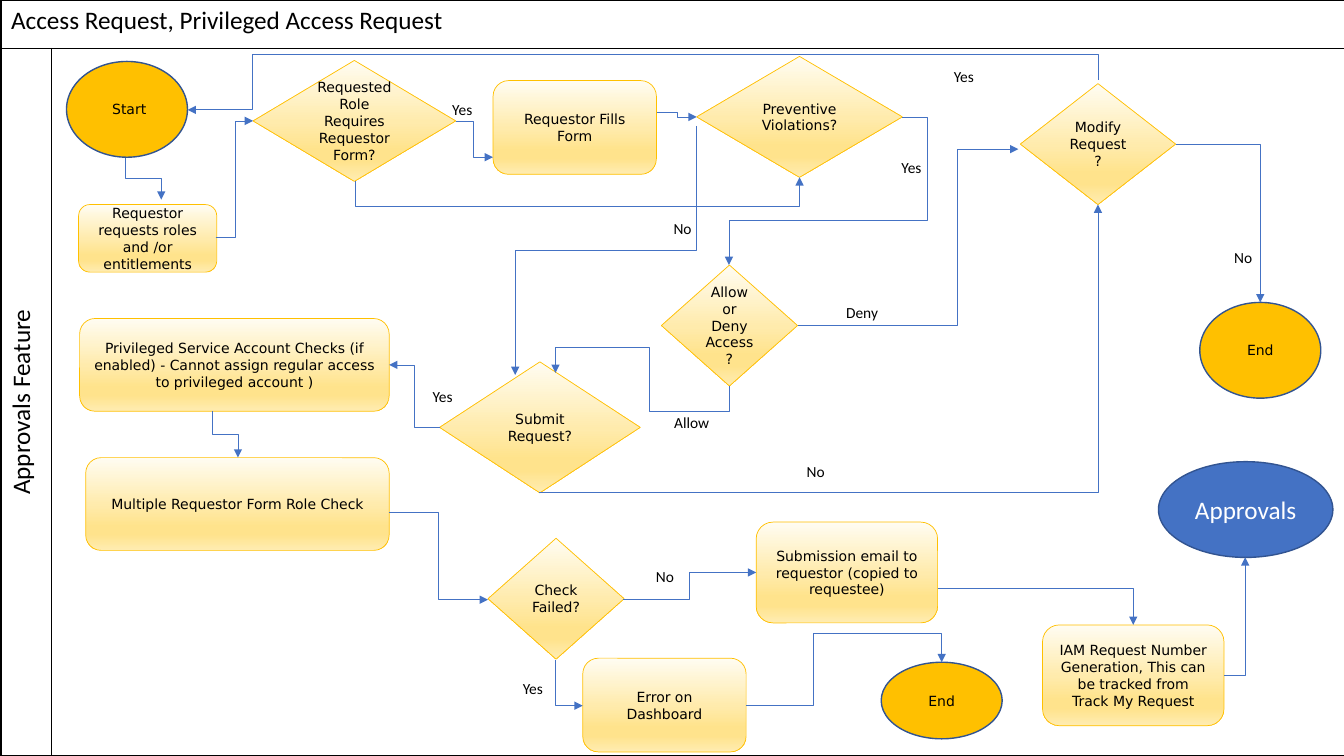
from pptx import Presentation
from pptx import util as u
from pptx.dml.color import RGBColor
from pptx.enum import shapes, text
from pptx.oxml.ns import qn
from lxml import etree

Inches, Pt = u.Inches, u.Pt
MSO = shapes.MSO_SHAPE


def rgb(code):
    return RGBColor.from_string(code)


def add(parent, tag, **attrs):
    return etree.SubElement(parent, qn(tag), {k: str(v) for k, v in attrs.items()})


class Flowchart:
    """Holds the flowchart style and the slide it is drawn on."""

    ink, flow, gold, rim = "000000", "4472C4", "FFC000", "325491"
    body, label_font = "DejaVu Sans", "Calibri"
    glow = [(0, "FFFCF2"), (51, "FFEBAC"), (74, "FFE38C"), (83, "FFE38C"), (100, "FFECB2")]

    def __init__(self, slide):
        self.slide = slide
        self.sites = []

    def set_text(self, tf, words, font, size, color, align=text.PP_ALIGN.CENTER):
        tf.word_wrap = True
        p = tf.paragraphs[0]
        p.text = words
        p.alignment = align
        p.font.name, p.font.size = font, Pt(size)
        p.font.color.rgb = rgb(color)

    def frame(self, title, lane):
        table = self.slide.shapes.add_table(
            2, 2, Inches(0.01), 0, Inches(13.33), Inches(7.5)).table
        table.first_row = table.horz_banding = False
        for col, width in zip(table.columns, (0.5, 12.83)):
            col.width = Inches(width)
        for row, height in zip(table.rows, (0.48, 7.02)):
            row.height = Inches(height)
        for cell in table.iter_cells():
            pr = cell._tc.get_or_add_tcPr()
            for side in ("a:lnL", "a:lnR", "a:lnT", "a:lnB"):
                ln = add(pr, side, w=Pt(1))
                add(add(ln, "a:solidFill"), "a:srgbClr", val=self.ink)
            cell.fill.background()
        head, side = table.cell(0, 0), table.cell(1, 0)
        head.merge(table.cell(0, 1))
        side._tc.get_or_add_tcPr().set("vert", "vert270")
        self.set_text(head.text_frame, title, self.label_font, 18, self.ink, text.PP_ALIGN.LEFT)
        self.set_text(side.text_frame, lane, self.label_font, 18, self.ink)

    def node(self, kind, x, y, w, h, stride=1):
        sp = self.slide.shapes.add_shape(kind, *map(Inches, (x, y, w, h)))
        sp.shadow.inherit = False
        sp.text_frame.vertical_anchor = text.MSO_ANCHOR.MIDDLE
        mids = ((x + w / 2, y), (x, y + h / 2), (x + w / 2, y + h), (x + w, y + h / 2))
        self.sites += [(sp.shape_id, i * stride, i % 2 == 0, mid) for i, mid in enumerate(mids)]
        return sp

    def step(self, kind, words, x, y, w, h):
        sp = self.node(kind, x, y, w, h)
        sp.fill.gradient()
        sp.fill.gradient_angle = 270
        stops = sp._element.spPr.find(".//" + qn("a:gsLst"))
        for gs in list(stops):
            stops.remove(gs)
        for pos, color in self.glow:
            add(add(stops, "a:gs", pos=pos * 1000), "a:srgbClr", val=color)
        sp.line.color.rgb, sp.line.width = rgb(self.gold), Pt(0.5)
        self.set_text(sp.text_frame, words, self.body, 10, self.ink)

    def oval(self, words, x, y, w, h, kind=MSO.OVAL, fill=gold, font=body, size=10, color=ink):
        sp = self.node(kind, x, y, w, h, stride=2)
        sp.fill.solid()
        sp.fill.fore_color.rgb = rgb(fill)
        sp.line.color.rgb, sp.line.width = rgb(self.rim), Pt(1)
        self.set_text(sp.text_frame, words, font, size, color)

    def label(self, words, x, y, w=1.02, h=0.28):
        tb = self.slide.shapes.add_textbox(*map(Inches, (x, y, w, h)))
        tb.text_frame.vertical_anchor = text.MSO_ANCHOR.MIDDLE
        self.set_text(tb.text_frame, words, self.label_font, 11, self.ink)

    def glue(self, cxn, tag, point, upright):
        for shape_id, idx, vertical, mid in self.sites:
            near = max(abs(a - b) for a, b in zip(point, mid)) < 0.03
            if near and vertical == upright:
                add(cxn._element.nvCxnSpPr.cNvCxnSpPr, tag, id=shape_id, idx=idx)
                return

    def elbow(self, *pts):
        (x1, y1), (x2, y2) = pts[0], pts[-1]
        dx, dy = x2 - x1, y2 - y1
        upright = pts[0][0] == pts[1][0]
        c = self.slide.shapes.add_connector(
            shapes.MSO_CONNECTOR.ELBOW, *map(Inches, (x1, y1, x2, y2)))
        w, h = (abs(dy), abs(dx)) if upright else (abs(dx), abs(dy))
        c.left, c.top = Inches((x1 + x2 - w) / 2), Inches((y1 + y2 - h) / 2)
        c.width, c.height = Inches(w), Inches(h)
        spPr = c._element.spPr
        xfrm, geom = spPr.find(qn("a:xfrm")), spPr.find(qn("a:prstGeom"))
        xfrm.set("rot", "5400000" if upright else "0")
        flips = (dy < 0, dx > 0) if upright else (dx < 0, dy < 0)
        for name, on in zip(("flipH", "flipV"), flips):
            xfrm.set(name, str(int(on)))
        geom.set("prst", f"bentConnector{len(pts) - 1}")
        guides = geom.find(qn("a:avLst"))
        for i, (x, y) in enumerate(pts[1:-2], 1):
            across = (i % 2 == 1) != upright
            part = (x - x1) / dx if across else (y - y1) / dy
            add(guides, "a:gd", name=f"adj{i}", fmla=f"val {round(part * 100000)}")
        c.line.color.rgb, c.line.width = rgb(self.flow), Pt(0.5)
        add(spPr.find(qn("a:ln")), "a:tailEnd", type="triangle")
        add(spPr, "a:effectLst")
        self.glue(c, "a:stCxn", pts[0], upright)
        self.glue(c, "a:endCxn", pts[-1], pts[-1][0] == pts[-2][0])


prs = Presentation()
prs.slide_width, prs.slide_height = Inches(13.33), Inches(7.5)
chart = Flowchart(prs.slides.add_slide(prs.slide_layouts[6]))
chart.frame("Access Request, Privileged Access Request", "Approvals Feature")

chart.oval(" Start", 0.66, 0.61, 1.2, 0.95)
chart.oval("End", 11.9, 3, 1.2, 0.95)
chart.oval("End", 8.74, 6.57, 1.2, 0.76)
chart.oval("Approvals", 11.49, 4.58, 1.73, 0.95, MSO.FLOWCHART_CONNECTOR,
           chart.flow, chart.label_font, 18, "FFFFFF")

for words, *box in (
    ("Requestor requests roles and /or entitlements", 0.78, 2.03, 1.37, 0.67),
    ("Privileged Service Account Checks (if enabled) - Cannot assign regular access "
     "to privileged account )", 0.79, 3.16, 3.07, 0.92),
    ("Requestor Fills Form", 4.89, 0.8, 1.62, 0.93),
    ("Multiple Requestor Form Role Check", 0.85, 4.54, 3.01, 0.92),
    ("Submission email to requestor (copied to requestee)", 7.5, 5.18, 1.8, 1),
    ("Error on Dashboard", 5.78, 6.53, 1.62, 0.93),
    ("IAM Request Number Generation, This can be tracked from Track My Request",
     10.34, 6.2, 1.8, 1),
):
    chart.step(MSO.ROUNDED_RECTANGLE, words, *box)

for words, *box in (
    ("Requested Role Requires Requestor Form?", 2.51, 0.6, 2.01, 1.2),
    ("Preventive Violations?", 6.91, 0.56, 2.04, 1.2),
    ("Allow or Deny Access?", 6.56, 2.63, 1.35, 1.2),
    ("Modify Request?", 10.12, 0.83, 1.54, 1.2),
    ("Submit Request?", 4.36, 3.59, 1.99, 1.3),
    ("Check Failed?", 4.84, 5.34, 1.35, 1.2),
):
    chart.step(MSO.DIAMOND, words, *box)

for route in (
    ((1.24, 1.57), (1.24, 1.77), (1.6, 1.77), (1.6, 1.98)),
    ((2.14, 2.36), (2.33, 2.36), (2.33, 1.2), (2.51, 1.2)),
    ((4.52, 1.2), (4.7, 1.2), (4.7, 1.56), (4.89, 1.56)),
    ((3.52, 1.8), (3.52, 2.05), (7.93, 2.05), (7.93, 1.76)),
    ((6.52, 1.11), (6.72, 1.11), (6.72, 1.16), (6.91, 1.16)),
    ((6.91, 1.25), (6.91, 2.48), (5.11, 2.48), (5.11, 3.72)),
    ((8.95, 1.16), (9.2, 1.16), (9.2, 2.19), (7.23, 2.19), (7.23, 2.63)),
    ((7.91, 3.23), (9.5, 3.23), (9.5, 1.48), (10.1, 1.48)),
    ((7.23, 3.83), (7.23, 4.08), (6.44, 4.08), (6.44, 3.45), (5.51, 3.45), (5.51, 3.7)),
    ((10.89, 0.79), (10.89, 0.54), (2.5, 0.54), (2.5, 1.09), (1.86, 1.09)),
    ((11.66, 1.43), (12.5, 1.43), (12.5, 3)),
    ((5.35, 4.89), (10.89, 4.89), (10.89, 2.03)),
    ((4.36, 4.24), (4.11, 4.24), (4.11, 3.62), (3.86, 3.62)),
    ((2.11, 4.08), (2.11, 4.31), (2.36, 4.31), (2.36, 4.54)),
    ((3.86, 5.08), (4.35, 5.08), (4.35, 5.95), (4.84, 5.95)),
    ((6.18, 5.95), (6.84, 5.95), (6.84, 5.68), (7.5, 5.68)),
    ((5.51, 6.55), (5.51, 7), (5.78, 7)),
    ((7.4, 7), (8.07, 7), (8.07, 6.28), (9.34, 6.28), (9.34, 6.57)),
    ((9.3, 5.84), (11.24, 5.84), (11.24, 6.2)),
    ((12.14, 6.7), (12.35, 6.7), (12.35, 5.53)),
):
    chart.elbow(*route)

for words, x, y in (
    ("Yes", 9.05, 0.62), ("Yes", 8.53, 1.52), ("Yes", 3.88, 3.79),
    ("No", 6.26, 2.13), ("No", 11.82, 2.41), ("No", 7.58, 4.54),
    ("Deny", 8.04, 2.96), ("Allow", 6.35, 4.05),
):
    chart.label(words, x, y)
for words, x, y in (("Yes", 4.36, 0.89), ("Yes", 5.06, 6.63), ("No", 6.37, 5.52)):
    chart.label(words, x, y, 0.45, 0.4)

prs.save("out.pptx")
